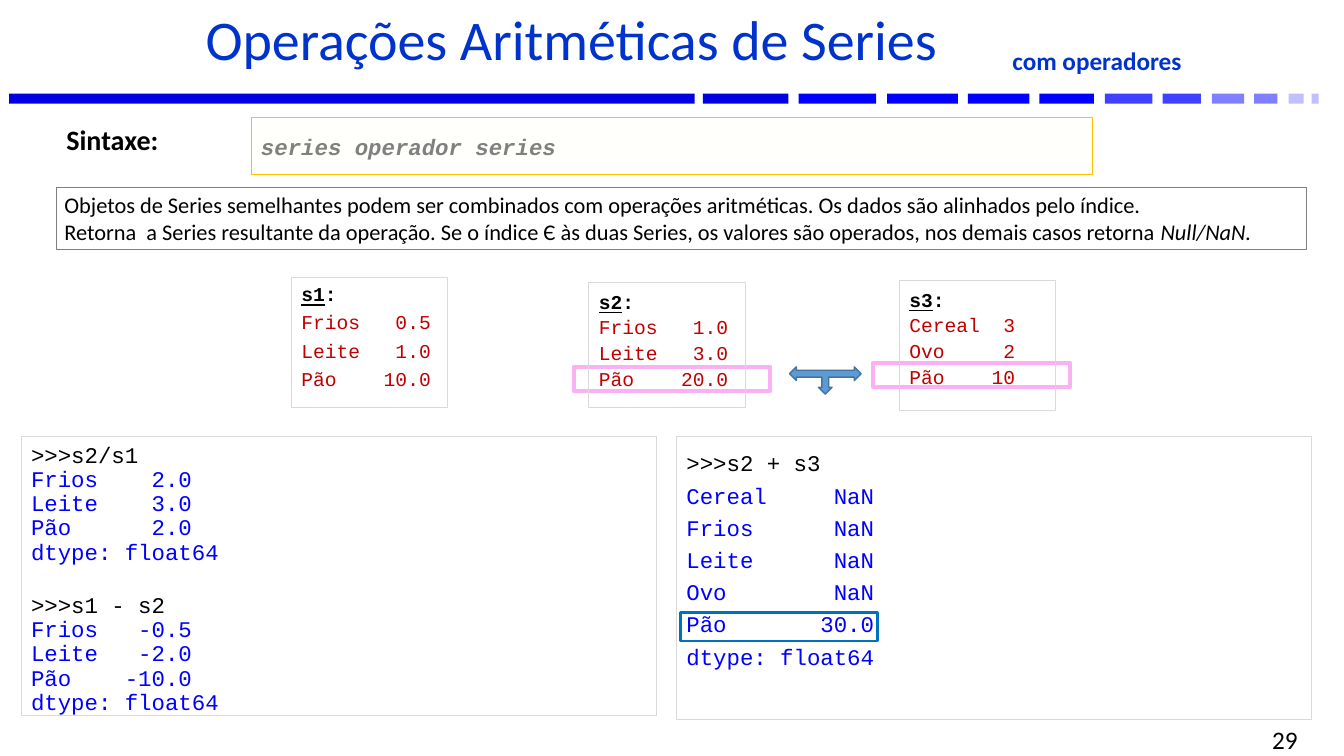
from pptx import Presentation
from pptx.dml.color import RGBColor
from pptx.enum.shapes import MSO_SHAPE
from pptx.enum.text import MSO_ANCHOR, PP_ALIGN
from pptx.util import Inches, Pt

deck = Presentation()
deck.slide_width, deck.slide_height = Inches(13.33), Inches(7.5)
slide = deck.slides.add_slide(deck.slide_layouts[6])
MONO, SANS = "Courier New", "Calibri"


def box(at, fill=None, line=None, width=0.75, kind=MSO_SHAPE.RECTANGLE):
    shape = slide.shapes.add_shape(kind, *[Inches(v) for v in at])
    shape.shadow.inherit = False
    for part, hue in ((shape.fill, fill), (shape.line.fill, line)):
        if hue:
            part.solid()
            part.fore_color.rgb = RGBColor.from_string(hue)
        else:
            part.background()
    if line:
        shape.line.width = Pt(width)
    return shape


def write(shape, rows, font, size, frame={}, hang=False):
    """Each row is (runs, paragraph format); each run is (text, colour, font format)."""
    text = shape.text_frame
    base = {"word_wrap": True, "vertical_anchor": MSO_ANCHOR.TOP}
    for key, value in {**base, **frame}.items():
        setattr(text, key, value)
    for i, (runs, style) in enumerate(rows):
        para = text.paragraphs[0] if i == 0 else text.add_paragraph()
        for key, value in {"alignment": PP_ALIGN.LEFT, **style}.items():
            setattr(para, key, value)
        if hang:
            props = para._p.get_or_add_pPr()
            props.set("marL", str(Inches(0.5)))
            props.set("indent", str(-Inches(0.5)))
        for words, hue, look in runs:
            run = para.add_run()
            run.text = words
            run.font.color.rgb = RGBColor.from_string(hue)
            for key, value in {"name": font, "size": Pt(size), **look}.items():
                setattr(run.font, key, value)


# Segmented bar under the title
bars = [(0.09, 6.8, "0000E0"), (6.97, 0.85, "0000E0"), (7.92, 0.77, "0000FF"),
        (8.8, 0.7, "0000FF"), (9.6, 0.61, "0000FF"), (10.31, 0.54, "0000FF"),
        (10.96, 0.47, "4040FF"), (11.53, 0.38, "4040FF"), (12.02, 0.32, "8080FF"),
        (12.44, 0.23, "8080FF"), (12.78, 0.15, "C0C0FF"), (13.01, 0.07, "C0C0FF")]
for left, wide, hue in bars:
    box((left, 0.93, wide, 0.1), hue)

# Plain labels: title, subtitle, syntax, page number
tight = {"line_spacing": 0.8, "space_before": Pt(6)}
mid = MSO_ANCHOR.MIDDLE
labels = [
    ((1.94, 0.06, 11.14, 0.77), "Operações Aritméticas de Series", 40, "0033CC",
     False, mid, tight),
    ((9.02, 0.46, 3.72, 0.35), "com operadores", 18, "0033CC",
     True, MSO_ANCHOR.TOP, {**tight, "alignment": PP_ALIGN.CENTER}),
    ((0.56, 1.17, 1.42, 0.44), "Sintaxe:", 20, "000000", True, MSO_ANCHOR.TOP, {}),
    ((9.86, 7.23, 3.11, 0.22), "29", 18, "000000",
     False, mid, {"alignment": PP_ALIGN.RIGHT}),
]
for at, words, size, hue, bold, anchor, style in labels:
    label = slide.shapes.add_textbox(*[Inches(v) for v in at])
    write(label, [([(words, hue, {"bold": bold})], style)], SANS, size,
          {"vertical_anchor": anchor})

# Syntax box
write(box((2.49, 1.17, 8.35, 0.56), "FFFFFB", "FFC000"),
      [([("series operador series", "808080", {"bold": True, "italic": True})], {})],
      MONO, 16, {"vertical_anchor": mid, "margin_top": 0, "margin_bottom": 0})

# Explanation
even = {"alignment": PP_ALIGN.JUSTIFY}
pads = {"margin_left": Inches(0.08), "margin_right": Inches(0.08),
        "margin_top": Inches(0.04), "margin_bottom": Inches(0.04)}
write(box((0.56, 1.86, 12.4, 0.62), line="808080"), [
    ([("Objetos de Series semelhantes podem ser combinados com operações "
       "aritméticas. Os dados são alinhados pelo índice. ", "000000", {})], even),
    ([("Retorna  a Series resultante da operação. Se o índice Є às duas Series, "
       "os valores são operados, nos demais casos retorna ", "000000", {}),
      ("Null/NaN. ", "000000", {"italic": True})], even),
], SANS, 16, pads)

# Code panels
panels = [
    ((0.21, 4.33, 6.3, 2.77), 1.0, 0.9,
     [">>>s2/s1", "Frios    2.0", "Leite    3.0", "Pão      2.0", "dtype: float64",
      ">>>s1 - s2", "Frios   -0.5", "Leite   -2.0", "Pão    -10.0", "dtype: float64"]),
    ((6.71, 4.33, 6.3, 2.81), 1.3, 1.2,
     [">>>s2 + s3", "Cereal     NaN", "Frios      NaN", "Leite      NaN",
      "Ovo        NaN", "Pão       30.0", "dtype: float64"]),
]
for at, first, rest, code in panels:
    rows = []
    for i, words in enumerate(code):
        call = words.startswith(">>>")
        style = {"line_spacing": first if call else rest,
                 "space_before": Pt(19 if call and i else 0)}
        rows.append(([(words, "000000" if call else "0000FF", {})], style))
    write(box(at, line="D9D9D9"), rows, MONO, 16, hang=True)

# Row highlights
for left, top, high, hue, width in [(8.66, 3.6, 0.24, "F9B1F4", 3),
                                    (5.69, 3.64, 0.24, "F9B1F4", 3),
                                    (6.75, 6.08, 0.28, "0070C0", 2)]:
    box((left, top, 1.95, high), line=hue, width=width)

# The three series
series = [
    ("s1", (2.89, 2.75, 1.55, 1.29), 1.0, 1.2,
     ["Frios   0.5", "Leite   1.0", "Pão    10.0"]),
    ("s2", (5.84, 2.8, 1.55, 1.24), 1.1, 1.1,
     ["Frios   1.0", "Leite   3.0", "Pão    20.0"]),
    ("s3", (8.92, 2.78, 1.55, 1.29), 1.1, 1.1,
     ["Cereal  3", "Ovo     2", "Pão    10"]),
]
for name, at, first, rest, data in series:
    head = [(name, "000000", {"bold": True, "underline": True}),
            (":", "000000", {"bold": True})]
    rows = [(head, {"line_spacing": first})]
    rows += [([(words, "C00000", {})], {"line_spacing": rest}) for words in data]
    write(box(at, line="D9D9D9"), rows, MONO, 14, hang=True)

# Arrow between s2 and s3
arrow = box((7.83, 3.64, 0.71, 0.27), "5B9BD5", "43739E", 1,
            MSO_SHAPE.LEFT_RIGHT_UP_ARROW)
arrow.rotation = 180

deck.save("out.pptx")
